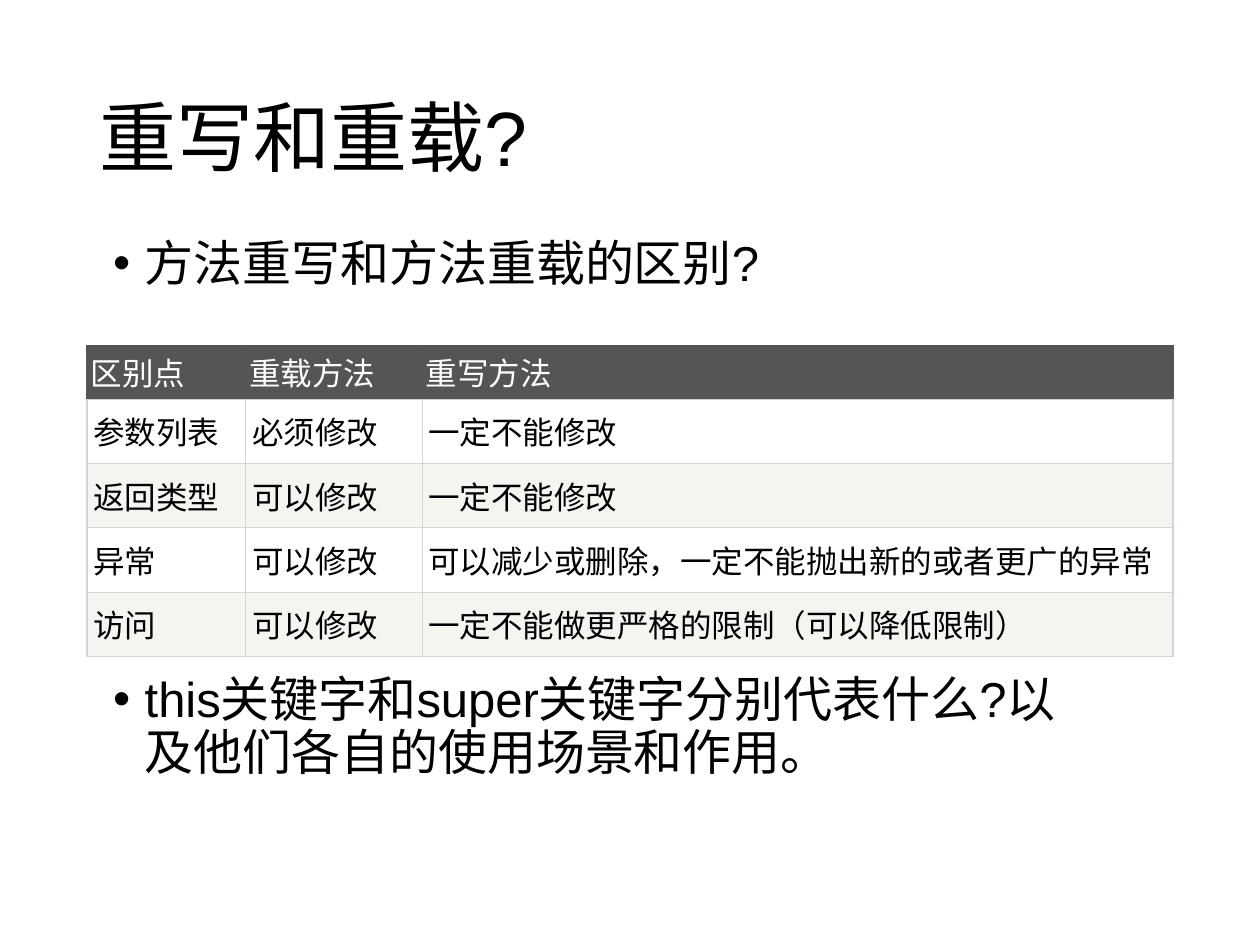
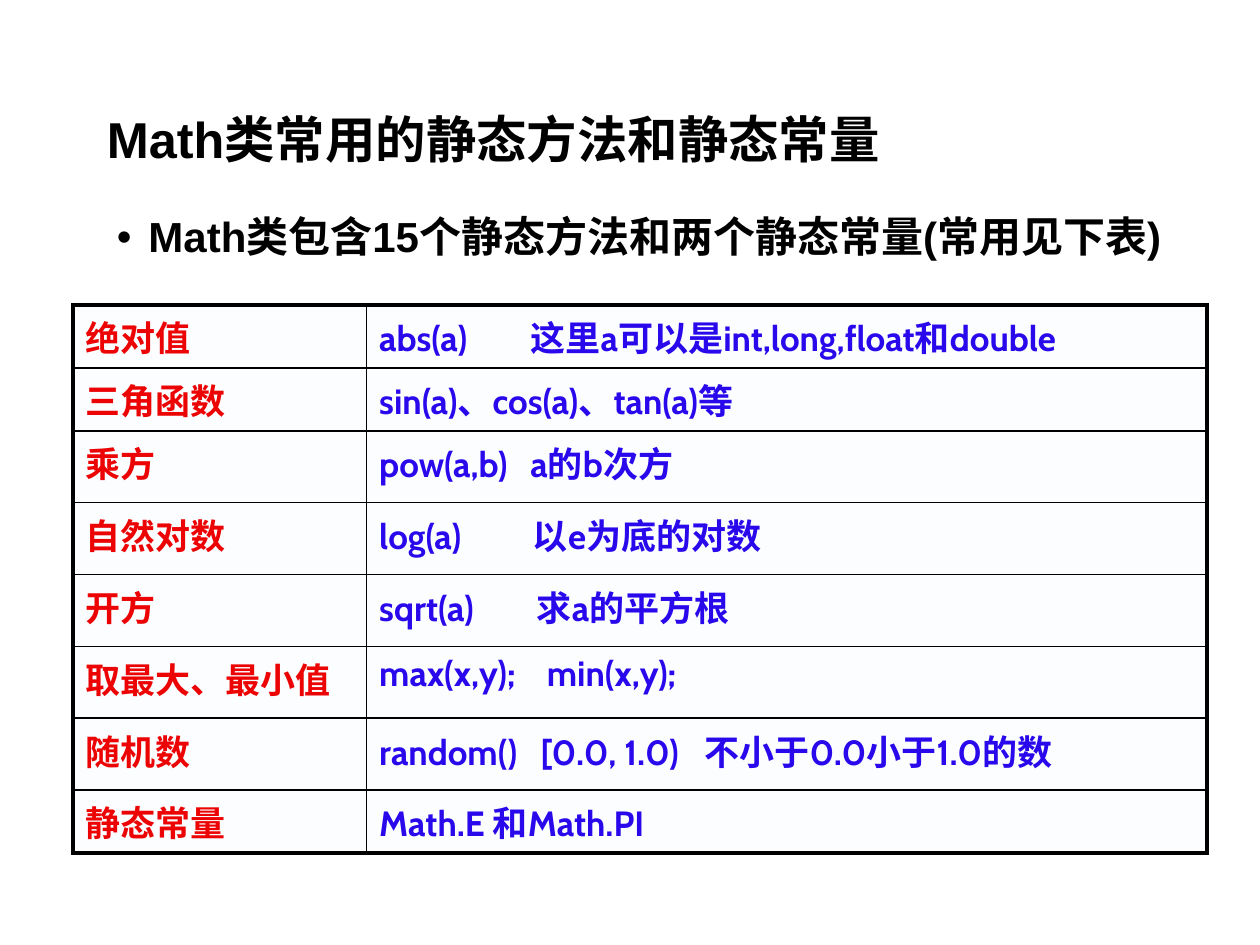
from dataclasses import dataclass

from lxml import etree
from pptx import Presentation
from pptx import util as u
from pptx.dml.color import RGBColor
from pptx.enum import lang, text
from pptx.oxml import ns

COLORS = {
    "black": "000000", "white": "FFFFFF", "header": "555555", "grid": "D4D4D4",
    "stripe": "F6F4F0", "ice": "FBFDFF", "red": "EC0404", "blue": "2908EC",
}


@dataclass(frozen=True)
class TextStyle:
    size: float
    font: str = "Arial"
    color: str = "black"
    bold: bool = False


@dataclass(frozen=True)
class Frame:
    left: float
    top: float
    width: float
    height: float

    def lengths(self) -> list:
        return [u.Inches(n) for n in (self.left, self.top, self.width, self.height)]


@dataclass(frozen=True)
class CellStyle:
    style: TextStyle
    fill: str
    margins: tuple  # horizontal, vertical
    tabs: tuple = ()


@dataclass(frozen=True)
class Edge:
    color: str
    width: float


def color_of(name: str) -> RGBColor:
    return RGBColor.from_string(COLORS[name])


def add_run(para, words: str, style: TextStyle) -> None:
    span = para.add_run()
    span.text = words
    font = span.font
    font.name, font.size, font.bold = style.font, u.Pt(style.size), style.bold
    font.color.rgb = color_of(style.color)
    font.language_id = lang.MSO_LANGUAGE_ID.SIMPLIFIED_CHINESE


def add_text(page, frame: Frame, words: str, style: TextStyle,
             bullet: bool = False) -> None:
    """Draw a title, or a bulleted paragraph with a hanging indent."""
    box = page.shapes.add_textbox(*frame.lengths()).text_frame
    box.word_wrap = True
    box.vertical_anchor = text.MSO_ANCHOR.TOP if bullet else text.MSO_ANCHOR.MIDDLE
    para = box.paragraphs[0]
    if bullet:
        props = para._p.get_or_add_pPr()
        props.set("marL", str(u.Inches(0.25)))
        props.set("indent", str(u.Inches(-0.25)))
        etree.SubElement(props, ns.qn("a:buFont"), typeface="Arial")
        etree.SubElement(props, ns.qn("a:buChar"), char="•")
    para.line_spacing = 0.9
    add_run(para, words, style)


def set_edge(cell, side: str, edge: Edge) -> None:
    line = etree.SubElement(cell._tc.get_or_add_tcPr(), ns.qn(f"a:ln{side}"),
                            w=str(u.Pt(edge.width)))
    fill = etree.SubElement(line, ns.qn("a:solidFill"))
    etree.SubElement(fill, ns.qn("a:srgbClr"), val=COLORS[edge.color])


def fill_cell(cell, words: str, look: CellStyle, edges: dict) -> None:
    for side in "LRTB":
        set_edge(cell, side, edges[side])
    cell.fill.solid()
    cell.fill.fore_color.rgb = color_of(look.fill)
    across, down = (u.Inches(n) for n in look.margins)
    cell.margin_left = cell.margin_right = across
    cell.margin_top = cell.margin_bottom = down
    para = cell.text_frame.paragraphs[0]
    if "\t" in words:
        stops = etree.SubElement(para._p.get_or_add_pPr(), ns.qn("a:tabLst"))
        for stop in look.tabs:
            etree.SubElement(stops, ns.qn("a:tab"), pos=str(u.Inches(stop)), algn="l")
    add_run(para, words, look.style)


def add_grid(page, left: float, top: float, widths: list, heights: list,
             rows: list, look_at, edges_at) -> None:
    """Draw a table; look_at and edges_at give the rule for each cell."""
    frame = Frame(left, top, sum(widths), sum(heights))
    table = page.shapes.add_table(len(rows), len(widths), *frame.lengths()).table
    table.first_row = table.horz_banding = False
    for column, width in zip(table.columns, widths):
        column.width = u.Inches(width)
    for r, (row, height) in enumerate(zip(rows, heights)):
        table.rows[r].height = u.Inches(height)
        for c, words in enumerate(row):
            fill_cell(table.cell(r, c), words, look_at(r, c), edges_at(r, c))


# Overriding and overloading
DIFFERENCES = [
    ("区别点", "重载方法", "重写方法"),
    ("参数列表", "必须修改", "一定不能修改"),
    ("返回类型", "可以修改", "一定不能修改"),
    ("异常", "可以修改", "可以减少或删除，一定不能抛出新的或者更广的异常"),
    ("访问", "可以修改", "一定不能做更严格的限制（可以降低限制）"),
]


def difference_look(row: int, column: int) -> CellStyle:
    if row == 0:
        return CellStyle(TextStyle(18, "Calibri", "white"), "header", (0.03, 0.03))
    fill = "white" if row % 2 else "stripe"
    return CellStyle(TextStyle(18, "Calibri"), fill, (0.05, 0.07))


def difference_edges(row: int, column: int) -> dict:
    edges = dict.fromkeys("LRTB", Edge("grid", 0.75))
    if row == 0:
        edges.update(dict.fromkeys("LRT", Edge("header", 0.75)))
    return edges


def build_overriding(page) -> None:
    question = TextStyle(28)
    add_text(page, Frame(0.69, 0.4, 8.62, 1.45), "重写和重载?", TextStyle(44))
    add_text(page, Frame(0.8, 1.85, 7.98, 0.6), "方法重写和方法重载的区别?",
             question, bullet=True)
    add_grid(page, 0.69, 2.74, [1.26, 1.4, 5.96], [0.43] + [0.51] * 4,
             DIFFERENCES, difference_look, difference_edges)
    add_text(page, Frame(0.8, 5.31, 7.98, 1.33),
             "this关键字和super关键字分别代表什么?以及他们各自的使用场景和作用。",
             question, bullet=True)


# Static members of Math
MATH_MEMBERS = [
    ("绝对值", "abs(a)\t这里a可以是int,long,float和double"),
    ("三角函数", "sin(a)、cos(a)、tan(a)等"),
    ("乘方", "pow(a,b)\ta的b次方"),
    ("自然对数", "log(a)\t以e为底的对数"),
    ("开方", "sqrt(a)\t求a的平方根"),
    ("取最大、最小值", "max(x,y);\tmin(x,y);"),
    ("随机数", "random()\t[0.0, 1.0)\t不小于0.0小于1.0的数"),
    ("静态常量", "Math.E 和Math.PI"),
]
FIRST_TABS = {0: 1.2, 2: 1.2, 3: 1.22, 4: 1.25, 5: 1.33, 6: 1.28}


def math_look(row: int, column: int) -> CellStyle:
    style = TextStyle(20, "Cabin", "blue" if column else "red", bold=True)
    return CellStyle(style, "ice", (0.1, 0.05), (FIRST_TABS.get(row, 1.2), 2.58))


def math_edges(row: int, column: int) -> dict:
    outer = {"L": column == 0, "R": column == 1,
             "T": row == 0, "B": row == len(MATH_MEMBERS) - 1}
    return {side: Edge("black", 2.25 if is_outer else 1)
            for side, is_outer in outer.items()}


def build_math(page) -> None:
    add_text(page, Frame(0.75, 0.84, 8.5, 0.58), "Math类常用的静态方法和静态常量",
             TextStyle(28.8, bold=True))
    add_text(page, Frame(0.83, 1.67, 8.5, 0.75),
             "Math类包含15个静态方法和两个静态常量(常用见下表)",
             TextStyle(24, bold=True), bullet=True)
    add_grid(page, 0.58, 2.42, [2.33, 6.67], [0.5] * 2 + [0.57] * 5 + [0.5],
             MATH_MEMBERS, math_look, math_edges)


def main() -> None:
    deck = Presentation()
    deck.slide_width, deck.slide_height = u.Inches(10), u.Inches(7.5)
    for build in (build_overriding, build_math):
        build(deck.slides.add_slide(deck.slide_layouts[6]))
    deck.save("out.pptx")


if __name__ == "__main__":
    main()
